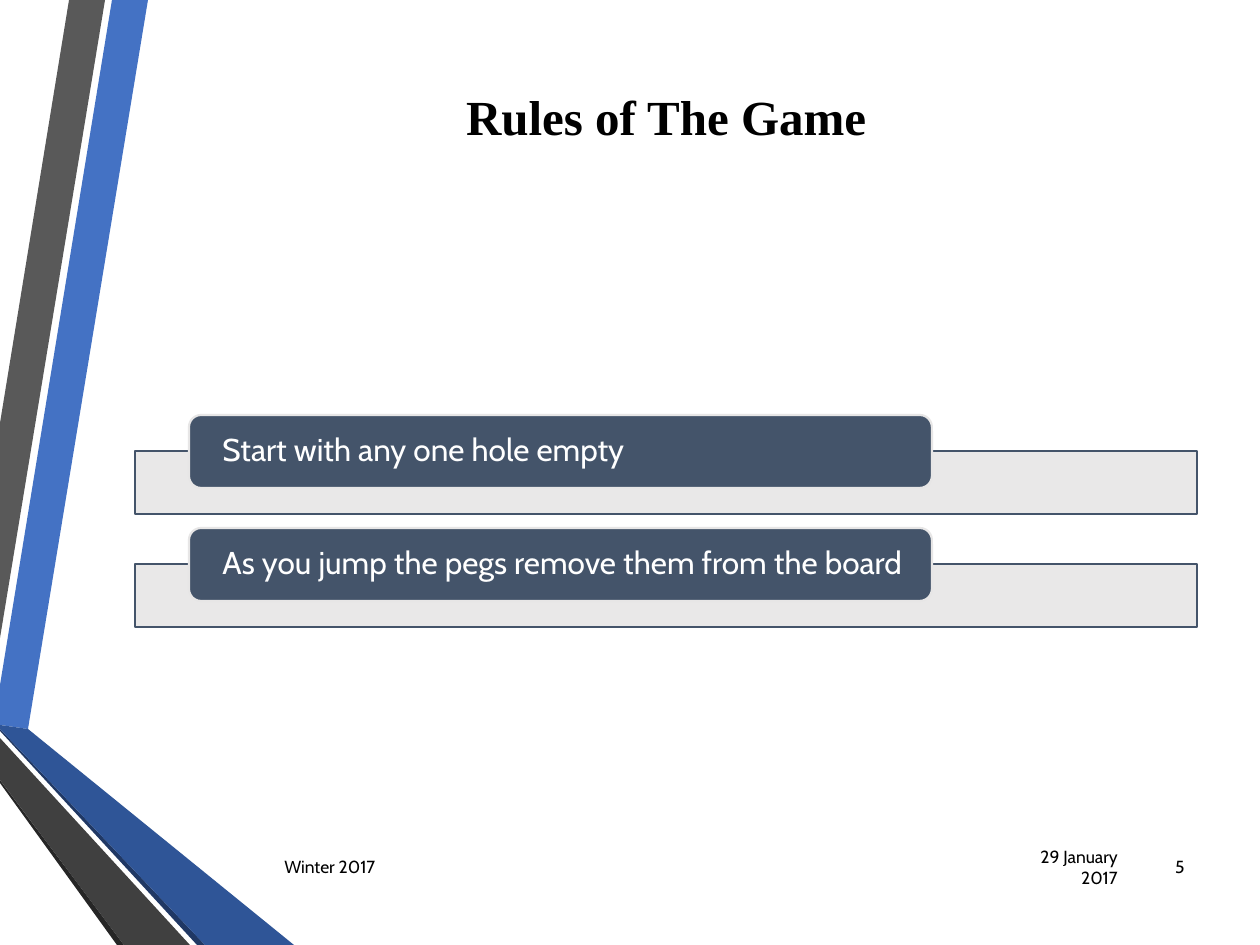
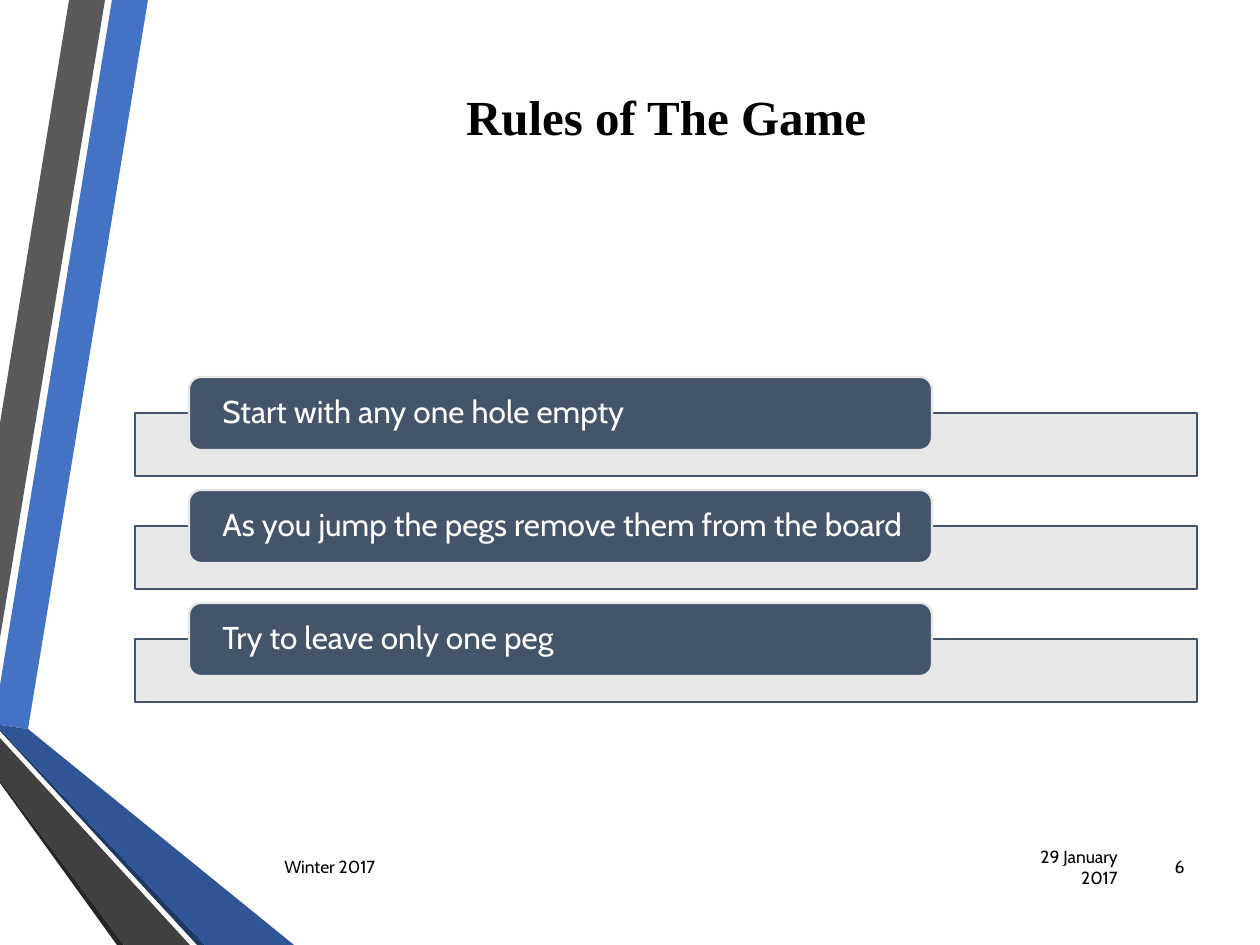
from pptx import Presentation
from pptx.dml.color import RGBColor
from pptx.enum.shapes import MSO_SHAPE as Shape
from pptx.enum.text import MSO_ANCHOR as Anchor, PP_ALIGN as Align
from pptx.oxml.ns import qn
from pptx.util import Emu, Pt
from lxml.etree import SubElement

SCALE = 914400 / 126
WIDTH, HEIGHT = 1260, 945
COLORS = {
    "blue": "4472C4", "deep_blue": "2F5597", "navy": "203864",
    "gray": "595959", "dark_gray": "404040", "charcoal": "262626",
    "slate": "44546A", "pale": "E7E6E6", "black": "000000", "white": "FFFFFF",
}
BANDS = [
    ("blue", [(0, 685), (0, 725), (28, 729), (148, 0), (112, 0)]),
    ("gray", [(105, 0), (69, 0), (0, 423), (0, 638)]),
    ("charcoal", [(0, 780), (0, 783), (117, HEIGHT), (124, HEIGHT)]),
    ("navy", [(0, 729), (0, 731), (197, HEIGHT), (205, HEIGHT)]),
    ("deep_blue", [(0, 729), (205, HEIGHT), (294, HEIGHT), (28, 729), (0, 725)]),
    ("dark_gray", [(0, 780), (124, HEIGHT), (190, HEIGHT), (0, 738)]),
]
RULES = [
    "Start with any one hole empty",
    "As you jump the pegs remove them from the board",
    "Try to leave only one peg",
]
RULE_STEP = 113
FOOTER_TOP, FOOTER_HEIGHT = 842, 50


def px(value):
    return Emu(round(value * SCALE))


def color(name):
    return RGBColor.from_string(COLORS[name])


class Deck:
    body_font = "Cabin"
    title_font = "Times New Roman"

    def __init__(self):
        self.presentation = Presentation()
        self.presentation.slide_width = px(WIDTH)
        self.presentation.slide_height = px(HEIGHT)
        self.slide = None

    def add_slide(self, title, number):
        layout = self.presentation.slide_layouts[6]
        self.slide = self.presentation.slides.add_slide(layout)
        for fill, points in BANDS:
            self.band(fill, points)
        self.text((360, 63, 612, 105), title, 28, Align.CENTER, self.title_font, True)
        self.footer(1012, 118, "29 January 2017", Align.RIGHT)
        self.footer(272, 732, "Winter 2017", Align.LEFT)
        self.footer(1138, 59, str(number), Align.RIGHT)

    def band(self, fill, points):
        builder = self.slide.shapes.build_freeform(*points[0], scale=SCALE)
        builder.add_line_segments(points[1:], close=True)
        self.paint(builder.convert_to_shape(), fill)

    def paint(self, shape, fill, line=None):
        shape.shadow.inherit = False
        shape.fill.solid()
        shape.fill.fore_color.rgb = color(fill)
        if line:
            shape.line.color.rgb = color(line)
            shape.line.width = Pt(1.25)
        else:
            shape.line.fill.background()

    def set_text(self, shape, text, size, align, font, ink="black", bold=False):
        frame = shape.text_frame
        frame.text = text
        frame.word_wrap = True
        frame.vertical_anchor = Anchor.MIDDLE
        paragraph = frame.paragraphs[0]
        paragraph.alignment = align
        run_font = paragraph.runs[0].font
        run_font.name, run_font.size, run_font.bold = font, Pt(size), bold
        run_font.color.rgb = color(ink)

    def text(self, box, text, size, align, font, bold=False):
        shape = self.slide.shapes.add_textbox(*map(px, box))
        self.set_text(shape, text, size, align, font, bold=bold)

    def footer(self, left, width, text, align):
        box = (left, FOOTER_TOP, width, FOOTER_HEIGHT)
        self.text(box, text, 10, align, self.body_font)

    def shape(self, kind, box, fill, line):
        shape = self.slide.shapes.add_shape(kind, *map(px, box))
        self.paint(shape, fill, line)
        return shape

    def rule(self, top, text):
        bar = self.shape(Shape.RECTANGLE, (135, top + 36, 1062, 63), "pale", "slate")
        fill_color = bar.element.spPr.find(qn("a:solidFill"))[0]
        SubElement(fill_color, qn("a:alpha"), val="90000")
        label = self.shape(Shape.ROUNDED_RECTANGLE, (189, top, 743, 73), "slate", "pale")
        self.set_text(label, text, 18, Align.LEFT, self.body_font, "white")
        frame = label.text_frame
        frame.margin_left, frame.margin_right = px(30), px(20)
        frame.margin_top = frame.margin_bottom = 0
        frame.paragraphs[0].line_spacing = 0.9

    def rules(self, top, texts):
        for index, text in enumerate(texts):
            self.rule(top + index * RULE_STEP, text)


deck = Deck()
for number, top, count in [(5, 415, 2), (6, 377, 3)]:
    deck.add_slide("Rules of The Game", number)
    deck.rules(top, RULES[:count])
deck.presentation.save("out.pptx")
